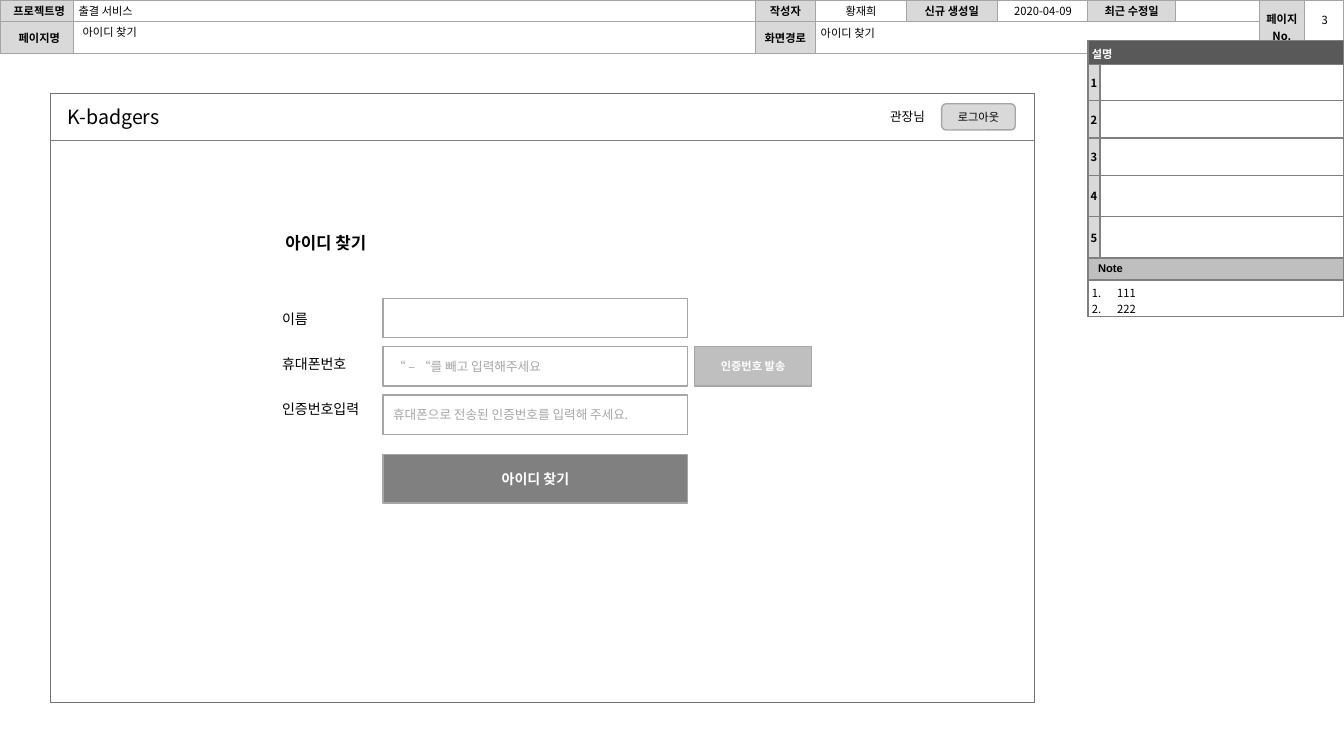
from lxml import etree
from pptx import Presentation
from pptx.dml.color import RGBColor
from pptx.enum.shapes import MSO_CONNECTOR, MSO_SHAPE
from pptx.enum.text import MSO_ANCHOR, MSO_AUTO_SIZE, PP_ALIGN
from pptx.oxml.ns import qn
from pptx.util import Inches, Pt

LEFT, CENTER = PP_ALIGN.LEFT, PP_ALIGN.CENTER
TOP, MIDDLE = MSO_ANCHOR.TOP, MSO_ANCHOR.MIDDLE
RECTANGLE, ROUNDED = MSO_SHAPE.RECTANGLE, MSO_SHAPE.ROUNDED_RECTANGLE
STRAIGHT = MSO_CONNECTOR.STRAIGHT
NO_AUTOFIT = MSO_AUTO_SIZE.NONE
KOREAN = "Noto Sans CJK KR"
COLORS = {
    "black": "000000", "white": "FFFFFF", "label": "D9D9D9", "heading": "595959",
    "silver": "BFBFBF", "button": "808080", "outline": "A6A6A6",
    "header_border": "A5A5A5", "window": "767171",
}


def rgb(name):
    """Return the named colour."""
    return RGBColor.from_string(COLORS[name])


def write(frame, lines, size=8, color="black", bold=False, align=LEFT, font=KOREAN,
          anchor=TOP, insets=(0.1, 0.05, 0.1, 0.05)):
    """Fill a text frame with equally formatted paragraphs."""
    sides = ("margin_left", "margin_top", "margin_right", "margin_bottom")
    values = dict(zip(sides, map(Inches, insets)))
    values.update(word_wrap=True, auto_size=NO_AUTOFIT, vertical_anchor=anchor)
    for name, value in values.items():
        setattr(frame, name, value)
    for index, line in enumerate(lines):
        paragraph = frame.paragraphs[0] if index == 0 else frame.add_paragraph()
        paragraph.alignment = align
        run = paragraph.add_run()
        run.text = line
        for name, value in {"size": Pt(size), "bold": bold, "name": font}.items():
            setattr(run.font, name, value)
        run.font.color.rgb = rgb(color)
        east_asian = etree.SubElement(run.font._element, qn("a:ea"))
        east_asian.set("typeface", font)


def add_text(slide, box, lines, **style):
    """Add a text box and return its frame."""
    frame = slide.shapes.add_textbox(*map(Inches, box)).text_frame
    write(frame, lines, **style)
    return frame


def add_block(slide, box, text="", fill=None, line="outline", kind=RECTANGLE, **style):
    """Add an outlined shape, with vertically centred text if any."""
    shape = slide.shapes.add_shape(kind, *map(Inches, box))
    shape.shadow.inherit = False
    if fill:
        shape.fill.solid()
        shape.fill.fore_color.rgb = rgb(fill)
    else:
        shape.fill.background()
    shape.line.color.rgb = rgb(line)
    shape.line.width = Pt(1)
    if text:
        write(shape.text_frame, [text], anchor=MIDDLE, **style)


def add_grid(slide, left, top, widths, heights, border):
    """Add a white table whose cells all have the given border."""
    table = slide.shapes.add_table(
        len(heights), len(widths), Inches(left), Inches(top),
        Inches(sum(widths)), Inches(sum(heights))).table
    table.first_row = table.horz_banding = False
    for column, width in zip(table.columns, widths):
        column.width = Inches(width)
    for row, height in zip(table.rows, heights):
        row.height = Inches(height)
    for cell in table.iter_cells():
        cell.margin_top = cell.margin_bottom = 0
        end = etree.SubElement(cell.text_frame.paragraphs[0]._p, qn("a:endParaRPr"))
        end.set("sz", "800")
        fill_cell(cell, "white")
        for index, side in enumerate(("lnL", "lnR", "lnT", "lnB")):
            edge = etree.Element(qn("a:" + side), w=str(Pt(1)))
            solid = etree.SubElement(edge, qn("a:solidFill"))
            etree.SubElement(solid, qn("a:srgbClr"), val=COLORS[border])
            cell._tc.tcPr.insert(index, edge)
    return table


def fill_cell(cell, fill):
    """Paint a cell."""
    cell.fill.solid()
    cell.fill.fore_color.rgb = rgb(fill)


def write_cell(cell, lines, fill, anchor=MIDDLE, insets=(0, 0, 0, 0), **style):
    """Paint a cell and write its text."""
    fill_cell(cell, fill)
    write(cell.text_frame, lines, **style)
    cell.vertical_anchor = anchor
    cell.margin_left, cell.margin_top, cell.margin_right, cell.margin_bottom = map(
        Inches, insets)


def add_header(slide, left, top):
    """Add the document information table and the values over it."""
    widths = (0.73, 6.76, 0.6, 0.9, 0.9, 0.9, 0.87, 0.83, 0.45, 0.39)
    table = add_grid(slide, left, top, widths, (0.21, 0.27), "header_border")
    for column in (8, 9):
        table.cell(0, column).merge(table.cell(1, column))
    table.cell(1, 3).merge(table.cell(1, 7))
    labels = {(0, 0): "프로젝트명", (1, 0): "페이지명", (0, 2): "작성자", (1, 2): "화면경로",
              (0, 4): "신규 생성일", (0, 6): "최근 수정일", (0, 8): "페이지 No."}
    for (row, column), label in labels.items():
        indent = 0.05 if column == 0 else 0
        write_cell(table.cell(row, column), [label], "label", bold=True, align=CENTER,
                   insets=(indent, 0, 0, 0))
    write_cell(table.cell(0, 1), ["출결 서비스"], "white", insets=(0.05, 0, 0, 0))
    write_cell(table.cell(0, 3), ["황재희"], "white", align=CENTER)
    small = (0.04, 0.04, 0.04, 0.04)
    for x, y, width, height, text, align, insets in (
            (0.78, 0.21, 6.64, 0.21, "아이디 찾기", LEFT, small),
            (10, 0, 0.69, 0.19, "2020-04-09", CENTER, (0, 0.04, 0, 0.04)),
            (12.95, 0.01, 0.38, 0.29, "3", CENTER, (0, 0.12, 0, 0.04)),
            (8.1, 0.22, 4.32, 0.21, "아이디 찾기", LEFT, small)):
        add_text(slide, (left + x, top + y, width, height), [text], align=align,
                 insets=insets)


def add_description(slide, left, top):
    """Add the numbered description table with its notes."""
    heights = (0.24, 0.36, 0.37, 0.37, 0.41, 0.41, 0.22, 0.34)
    table = add_grid(slide, left, top, (0.12, 2.42), heights, "button")
    for row in (0, 6, 7):
        table.cell(row, 0).merge(table.cell(row, 1))
    write_cell(table.cell(0, 0), ["설명"], "heading", color="white", bold=True,
               insets=(0.04, 0.02, 0.1, 0))
    for number in range(1, 6):
        write_cell(table.cell(number, 0), [str(number)], "label", bold=True, align=CENTER)
    write_cell(table.cell(6, 0), ["Note"], "silver", bold=True, font="Arial",
               insets=(0.1, 0, 0.04, 0))
    notes = table.cell(7, 0)
    write_cell(notes, ["111", "222"], "white", anchor=TOP, insets=(0.04, 0.04, 0.04, 0))
    for paragraph in notes.text_frame.paragraphs:
        properties = paragraph._p.get_or_add_pPr()
        properties.set("marL", str(Inches(0.25)))
        properties.set("indent", str(-Inches(0.25)))
        etree.SubElement(properties, qn("a:buAutoNum"), type="arabicPeriod")


def add_window(slide, left, top, width, height):
    """Add the screen frame with its top bar."""
    add_block(slide, (left, top, width, height), line="window")
    bar = Inches(top + 0.46)
    divider = slide.shapes.add_connector(
        STRAIGHT, Inches(left), bar, Inches(left + width), bar)
    divider.line.color.rgb = rgb("button")
    divider.line.width = Pt(0.5)
    etree.SubElement(divider._element.spPr, qn("a:effectLst"))
    add_text(slide, (left + 0.07, top + 0.06, 1.3, 0.34), ["K-badgers"], size=14)
    add_block(slide, (left + 8.84, top + 0.1, 0.73, 0.26), "로그아웃", "label",
              kind=ROUNDED, align=CENTER, insets=(0.04, 0.04, 0.04, 0.04))
    add_text(slide, (left + 8.23, top + 0.1, 0.6, 0.25), ["관장님"], size=9)


def add_form(slide, left, top):
    """Add the title, labels, fields and buttons of the search form."""
    title = slide.shapes.title
    box = (left + 0.03, top, 1.3, 0.3)
    for name, value in zip(("left", "top", "width", "height"), box):
        setattr(title, name, Inches(value))
    write(title.text_frame, ["아이디 찾기"], size=12, bold=True)
    labels = add_text(slide, (left, top + 0.69, 1.04, 1.33),
                      ["이름", "휴대폰번호", "인증번호입력"], size=10)
    for index, paragraph in enumerate(labels.paragraphs):
        paragraph.line_spacing = 1.5
        paragraph.space_before = Pt(14 if index else 0)
    field_left, field_top, field_width = left + 1.1, top + 0.7, 3.02
    hints = ("", "“ – “를 빼고 입력해주세요", "휴대폰으로 전송된 인증번호를 입력해 주세요.")
    for index, hint in enumerate(hints):
        add_block(slide, (field_left, field_top + 0.48 * index, field_width, 0.39), hint,
                  "white", size=9, color="outline")
    add_block(slide, (field_left, top + 2.25, field_width, 0.48), "아이디 찾기", "button",
              size=10, color="white", bold=True, align=CENTER)
    add_block(slide, (left + 4.19, field_top + 0.48, 1.16, 0.39), "인증번호 발송", "silver",
              color="white", bold=True, align=CENTER)


def main():
    """Build the screen specification slide."""
    presentation = Presentation()
    presentation.slide_width, presentation.slide_height = Inches(13.33), Inches(7.5)
    slide = presentation.slides.add_slide(presentation.slide_layouts[5])
    add_header(slide, 0, 0)
    add_description(slide, 10.79, 0.4)
    add_window(slide, 0.5, 0.93, 9.76, 6.04)
    add_form(slide, 2.7, 2.26)
    presentation.save("out.pptx")


if __name__ == "__main__":
    main()
